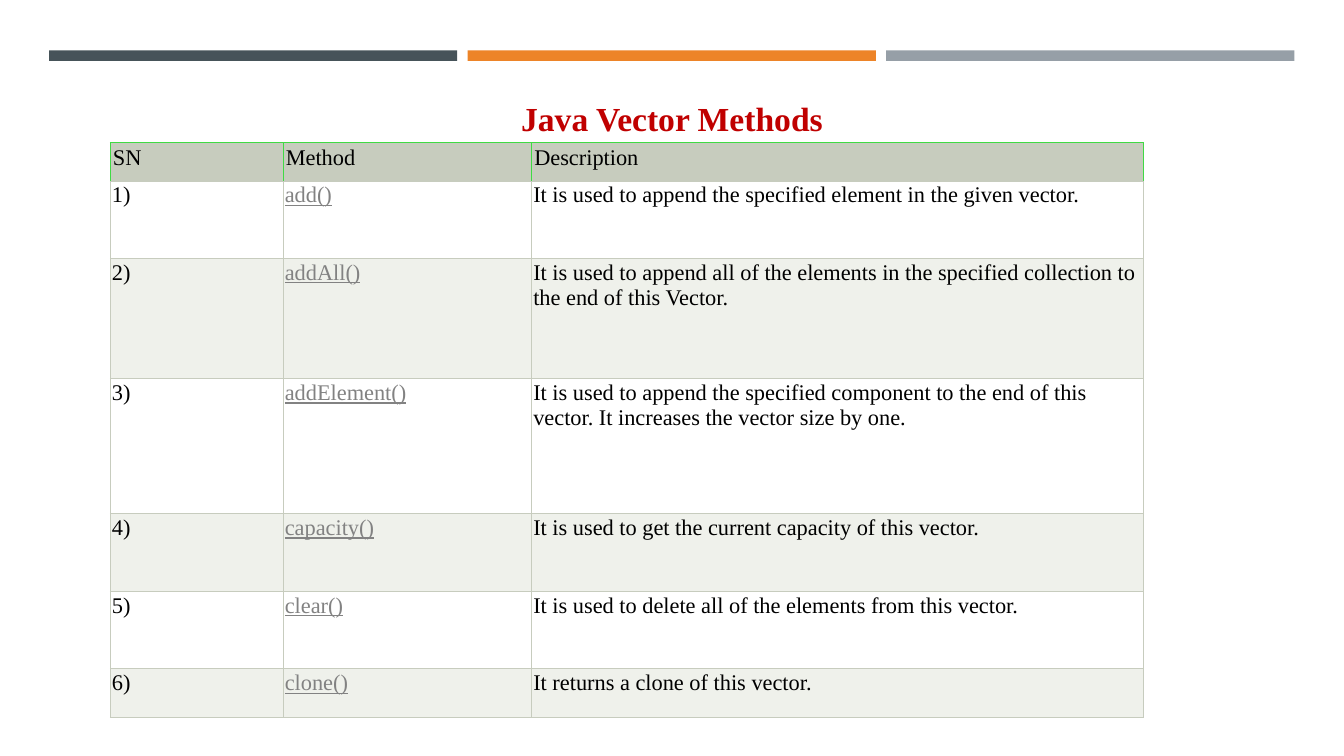
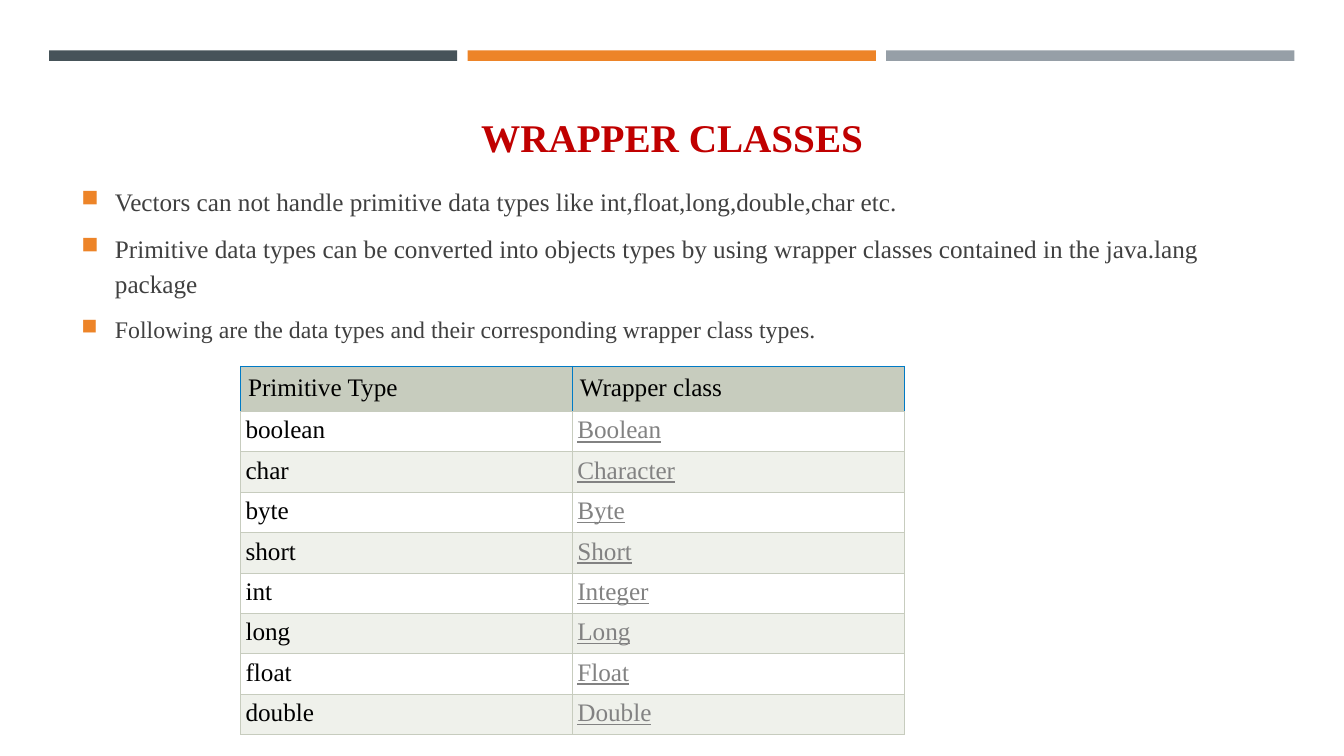
from lxml import etree
from pptx import Presentation
from pptx.dml.color import RGBColor
from pptx.enum.shapes import MSO_SHAPE
from pptx.enum.text import MSO_ANCHOR, PP_ALIGN
from pptx.oxml.ns import qn
from pptx.util import Pt

RECT = MSO_SHAPE.RECTANGLE
MIDDLE = MSO_ANCHOR.MIDDLE
TOP = MSO_ANCHOR.TOP
LEFT = PP_ALIGN.LEFT
CENTER = PP_ALIGN.CENTER

FONT = "Times New Roman"
BLACK = RGBColor(0x00, 0x00, 0x00)
WHITE = RGBColor(0xFF, 0xFF, 0xFF)
SLATE = RGBColor(0x46, 0x53, 0x59)
ORANGE = RGBColor(0xED, 0x84, 0x28)
STEEL = RGBColor(0x96, 0x9F, 0xA7)
RED = RGBColor(0xC0, 0x00, 0x00)
BODY = RGBColor(0x40, 0x40, 0x40)
LINK = RGBColor(0x82, 0x82, 0x82)
HEADER = RGBColor(0xC7, 0xCC, 0xBE)
STRIPE = RGBColor(0xEF, 0xF1, 0xEB)
GREEN = RGBColor(0x40, 0xDA, 0x44)
BLUE = RGBColor(0x00, 0x7A, 0xC5)

LINK_COLUMN = 1

METHODS = [
    ("SN", "Method", "Description"),
    ("1)", "add()", "It is used to append the specified element in the given vector."),
    ("2)", "addAll()", "It is used to append all of the elements in the specified "
                       "collection to the end of this Vector."),
    ("3)", "addElement()", "It is used to append the specified component to the end of "
                           "this vector. It increases the vector size by one."),
    ("4)", "capacity()", "It is used to get the current capacity of this vector."),
    ("5)", "clear()", "It is used to delete all of the elements from this vector."),
    ("6)", "clone()", "It returns a clone of this vector."),
]
WRAPPERS = [
    ("Primitive Type", "Wrapper class"),
    ("boolean", "Boolean"),
    ("char", "Character"),
    ("byte", "Byte"),
    ("short", "Short"),
    ("int", "Integer"),
    ("long", "Long"),
    ("float", "Float"),
    ("double", "Double"),
]
WRAPPER_NOTES = [
    ("Vectors can not handle primitive data types like int,float,long,double,char etc.", 18),
    ("Primitive data types can be converted into objects types by using wrapper classes "
     "contained in the java.lang package", 18),
    ("Following are the data types and their corresponding wrapper class types.", 17),
]


def write(p, text, size, color=BLACK, bold=False, underline=False, align=LEFT):
    p.alignment = align
    r = p.add_run()
    r.text = text
    r.font.name = FONT
    r.font.size = Pt(size)
    r.font.color.rgb = color
    r.font.bold = bold
    r.font.underline = underline


def add_bands(slide):
    for i, color in enumerate((SLATE, ORANGE, STEEL)):
        sp = slide.shapes.add_shape(RECT, Pt(35 + 299 * i), Pt(36), Pt(291.6), Pt(7.5))
        sp.shadow.inherit = False
        sp.fill.solid()
        sp.fill.fore_color.rgb = color
        sp.line.fill.background()


def add_titled_slide(prs, title, center, size):
    """Add a slide with the bands and a title centred on the given height."""
    slide = prs.slides.add_slide(prs.slide_layouts[5])
    add_bands(slide)
    sp = slide.shapes.title
    sp.left, sp.top, sp.width, sp.height = Pt(46), Pt(center - 20), Pt(868), Pt(40)
    tf = sp.text_frame
    tf.word_wrap = True
    tf.vertical_anchor = MIDDLE
    write(tf.paragraphs[0], title, size, RED, bold=True, align=CENTER)
    return slide


def set_bullet(p):
    pPr = p._p.get_or_add_pPr()
    pPr.set("marL", str(Pt(24)))
    pPr.set("indent", str(-Pt(24)))
    color = etree.SubElement(pPr, qn("a:buClr"))
    etree.SubElement(color, qn("a:srgbClr"), val=str(ORANGE))
    etree.SubElement(pPr, qn("a:buSzPct"), val="92000")
    etree.SubElement(pPr, qn("a:buChar"), char="■")


def add_bullets(slide, items, left, top, width, height):
    tf = slide.shapes.add_textbox(Pt(left), Pt(top), Pt(width), Pt(height)).text_frame
    tf.word_wrap = True
    tf.vertical_anchor = TOP
    for i, (text, size) in enumerate(items):
        p = tf.add_paragraph() if i else tf.paragraphs[0]
        set_bullet(p)
        p.line_spacing = 1.15
        p.space_before = Pt(3 if i else 0)
        p.space_after = Pt(6)
        write(p, text, size, BODY)


def set_borders(cell, edge, bottom):
    """Draw the left, right and top borders in one colour and the bottom in another."""
    tcPr = cell._tc.get_or_add_tcPr()
    for side, color in (("L", edge), ("R", edge), ("T", edge), ("B", bottom)):
        ln = etree.SubElement(tcPr, qn(f"a:ln{side}"), w=str(Pt(0.5)))
        fill = etree.SubElement(ln, qn("a:solidFill"))
        etree.SubElement(fill, qn("a:srgbClr"), val=str(color))


def fill_cell(cell, text, size, inset, fill, edge, link):
    cell.margin_left = cell.margin_right = Pt(inset)
    cell.margin_top = cell.margin_bottom = Pt(inset)
    cell.vertical_anchor = TOP
    set_borders(cell, edge, HEADER)
    cell.fill.solid()
    cell.fill.fore_color.rgb = fill
    write(cell.text_frame.paragraphs[0], text, size, LINK if link else BLACK, underline=link)


def add_striped_table(slide, rows, left, top, widths, heights, size,
                      header_inset, inset, header_edge):
    table = slide.shapes.add_table(len(rows), len(widths), Pt(left), Pt(top),
                                   Pt(sum(widths)), Pt(sum(heights))).table
    table.first_row = table.horz_banding = False
    for column, width in zip(table.columns, widths):
        column.width = Pt(width)
    for row, height in zip(table.rows, heights):
        row.height = Pt(height)
    for i, texts in enumerate(rows):
        for j, text in enumerate(texts):
            cell = table.cell(i, j)
            if i == 0:
                fill_cell(cell, text, size, header_inset, HEADER, header_edge, False)
            else:
                fill = WHITE if i % 2 else STRIPE
                fill_cell(cell, text, size, inset, fill, HEADER, j == LINK_COLUMN)


def main():
    prs = Presentation()
    prs.slide_width, prs.slide_height = Pt(960), Pt(540)

    slide = add_titled_slide(prs, "Java Vector Methods", 84, 24)
    add_striped_table(slide, METHODS, 78.7, 101.7, (123.5, 177.5, 437),
                      (27.5, 55.4, 86, 96.4, 55.4, 55.4, 34.8), 16, 2, 1.3, GREEN)

    slide = add_titled_slide(prs, "WRAPPER CLASSES", 97.5, 28)
    add_bullets(slide, WRAPPER_NOTES, 51, 126, 868, 124)
    add_striped_table(slide, WRAPPERS, 171.8, 261.5, (237, 237),
                      [31.5] + [28] * 8, 18, 5.4, 3.6, BLUE)

    prs.save("out.pptx")


if __name__ == "__main__":
    main()
